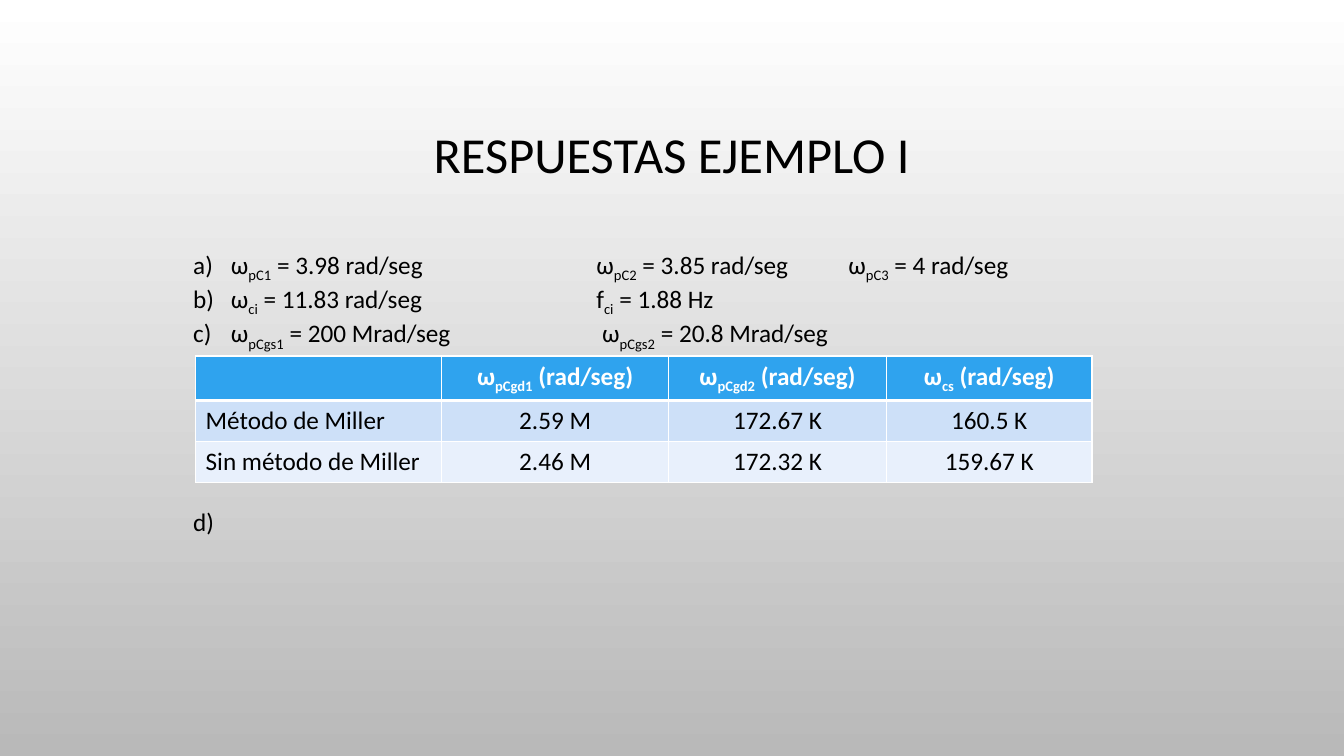
from lxml.etree import SubElement
from pptx import Presentation
from pptx.dml.color import RGBColor
from pptx.enum.text import MSO_ANCHOR, PP_ALIGN
from pptx.oxml.ns import qn
from pptx.util import Cm, Pt


def colour(code):
    return RGBColor.from_string(code)


def write(para, text, size=18, ink="000000", bold=False, align=PP_ALIGN.LEFT):
    """Fill a paragraph; parts between bars become subscripts."""
    para.alignment = align
    for index, part in enumerate(text.split("|")):
        if not part:
            continue
        span = para.add_run()
        span.text = part
        span.font.name = "Calibri"
        span.font.size = Pt(size)
        span.font.bold = bold
        span.font.color.rgb = colour(ink)
        if index % 2:
            span._r.get_or_add_rPr().set("baseline", "-25000")


deck = Presentation()
deck.slide_width, deck.slide_height = Cm(33.87), Cm(19.05)
page = deck.slides.add_slide(deck.slide_layouts[6])

# Background gradient, white at the top
backdrop = page.background.fill
backdrop.gradient()
backdrop.gradient_angle = 270
for stop, code in zip(backdrop.gradient_stops, ("FFFFFF", "B9B9B9")):
    stop.color.rgb = colour(code)

# Title
title = page.shapes.add_textbox(Cm(2.54), Cm(1.73), Cm(28.78), Cm(4.45))
title.text_frame.word_wrap = True
title.text_frame.vertical_anchor = MSO_ANCHOR.MIDDLE
heading = title.text_frame.paragraphs[0]
heading.line_spacing = 0.9
write(heading, "RESPUESTAS EJEMPLO I", size=36, align=PP_ALIGN.CENTER)

# Lettered answers, with results lined up on two tab stops
answers = [
    "ω|pC1| = 3.98 rad/seg\tω|pC2| = 3.85 rad/seg\tω|pC3| = 4 rad/seg",
    "ω|ci| = 11.83 rad/seg\tf|ci| = 1.88 Hz",
    "ω|pCgs1| = 200 Mrad/seg\t ω|pCgs2| = 20.8 Mrad/seg",
    " ",
]
box = page.shapes.add_textbox(Cm(4.62), Cm(6.15), Cm(23.6), Cm(7.95))
frame = box.text_frame
frame.word_wrap = True
for index, answer in enumerate(answers):
    para = frame.add_paragraph() if index else frame.paragraphs[0]
    settings = para._p.get_or_add_pPr()
    settings.set("marL", str(Cm(0.95)))
    settings.set("indent", str(Cm(-0.95)))
    SubElement(settings, qn("a:buAutoNum"), type="alphaLcParenR")
    tabs = SubElement(settings, qn("a:tabLst"))
    for place in (10.16, 16.51):
        SubElement(tabs, qn("a:tab"), pos=str(Cm(place)), algn="l")
    write(para, answer)
para.space_before = Pt(110)  # room for the table above the last answer

# Table comparing both methods
rows = [
    ("", "ω|pCgd1| (rad/seg)", "ω|pCgd2| (rad/seg)", "ω|cs| (rad/seg)"),
    ("Método de Miller", "2.59 M", "172.67 K", "160.5 K"),
    ("Sin método de Miller", "2.46 M", "172.32 K", "159.67 K"),
]
row_fills = ("2FA3EE", "CDE0F8", "E8F0FC")
row_heights = (1.1, 1.03, 1.03)
column_widths = (6.2, 5.72, 5.49, 5.18)
table = page.shapes.add_table(
    3, 4, Cm(4.93), Cm(8.97), Cm(sum(column_widths)), Cm(sum(row_heights))
).table
for column, width in zip(table.columns, column_widths):
    column.width = Cm(width)
for r, row in enumerate(rows):
    table.rows[r].height = Cm(row_heights[r])
    for c, text in enumerate(row):
        cell = table.cell(r, c)
        write(
            cell.text_frame.paragraphs[0],
            text,
            ink="000000" if r else "FFFFFF",
            bold=r == 0,
            align=PP_ALIGN.CENTER if c else PP_ALIGN.LEFT,
        )
        # White borders, thicker under the header
        borders = cell._tc.get_or_add_tcPr()
        for side in ("lnL", "lnR", "lnT", "lnB"):
            thick = (r, side) in ((0, "lnB"), (1, "lnT"))
            line = SubElement(borders, qn("a:" + side), w=str(Pt(3 if thick else 1)))
            SubElement(SubElement(line, qn("a:solidFill")), qn("a:srgbClr"), val="FFFFFF")
        cell.fill.solid()
        cell.fill.fore_color.rgb = colour(row_fills[r])

deck.save("out.pptx")
